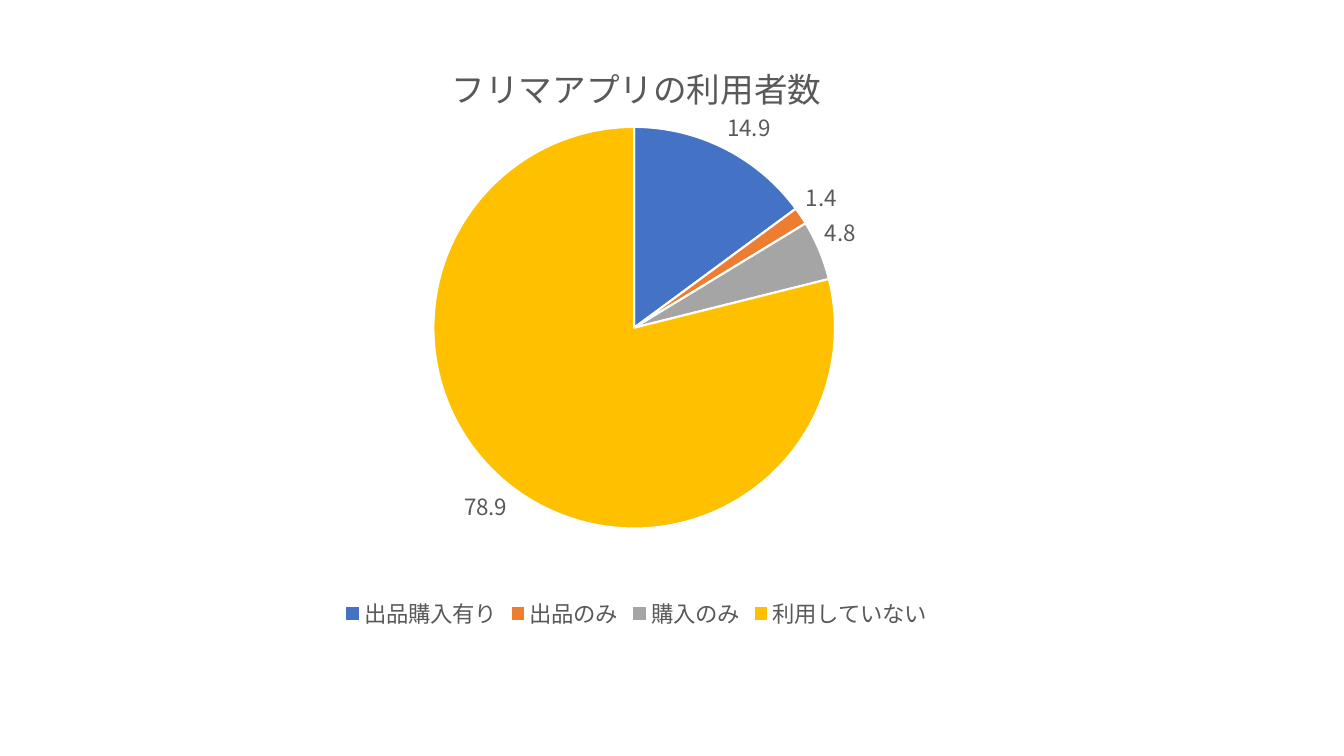
from pptx import Presentation
from pptx.chart.data import CategoryChartData as Data
from pptx.dml.color import RGBColor
from pptx.enum.chart import XL_CHART_TYPE as Kind, XL_LABEL_POSITION as Spot
from pptx.enum.chart import XL_LEGEND_POSITION as Side
from pptx.oxml import parse_xml
from pptx.oxml.ns import nsdecls, qn
from pptx.util import Cm, Pt


def color(code):
    return RGBColor.from_string(code)


class Deck:
    face = "Noto Sans CJK JP"
    ink = "595959"
    edge = "FFFFFF"

    def __init__(self, wide, high):
        self.prs = Presentation()
        self.prs.slide_width, self.prs.slide_height = Cm(wide), Cm(high)
        self.slide = None

    def page(self):
        self.slide = self.prs.slides.add_slide(self.prs.slide_layouts[6])

    def style(self, font, size, ink=None):
        font.name, font.size, font.bold = self.face, Pt(size), False
        font.color.rgb = color(ink or self.ink)

    def pie(self, box, title, parts, plot):
        data = Data(number_format="0.0")
        data.categories = [name for name, _, _ in parts]
        data.add_series(title, [value for _, value, _ in parts])
        frame = self.slide.shapes.add_chart(Kind.PIE, *map(Cm, box), data)
        chart = frame.chart
        self.style(chart.font, 10, "000000")
        self.head(chart, title)
        self.legend(chart)
        chart.plots[0].vary_by_categories = True
        series = chart.plots[0].series[0]
        for i, (_, _, fill) in enumerate(parts):
            form = series.points[i].format
            form.fill.solid()
            form.fill.fore_color.rgb = color(fill)
            form.line.color.rgb = color(self.edge)
            form.line.width = Pt(1.5)
        self.labels(series)
        self.place(chart, plot)
        self.asian(chart)

    def head(self, chart, text):
        chart.has_title = True
        frame = chart.chart_title.text_frame
        frame.text = text
        self.style(frame.paragraphs[0].runs[0].font, 24)

    def legend(self, chart):
        chart.has_legend = True
        chart.legend.position = Side.BOTTOM
        chart.legend.include_in_layout = False
        self.style(chart.legend.font, 16)

    def labels(self, series):
        tags = series.data_labels
        tags.show_value = True
        tags.show_percentage = False
        tags.position = Spot.OUTSIDE_END
        self.style(tags.font, 16)

    def place(self, chart, plot):
        area = chart.element.find(".//" + qn("c:plotArea"))
        for old in area.findall(qn("c:layout")):
            area.remove(old)
        modes = '<c:xMode val="edge"/><c:yMode val="edge"/>'
        sizes = "".join(f'<c:{k} val="{v}"/>' for k, v in zip("xywh", plot))
        area.insert(0, parse_xml(
            f'<c:layout {nsdecls("c")}><c:manualLayout>'
            f'<c:layoutTarget val="inner"/>{modes}{sizes}'
            '</c:manualLayout></c:layout>'))

    def asian(self, chart):
        for latin in list(chart.element.iter(qn("a:latin"))):
            latin.addnext(parse_xml(
                f'<a:ea {nsdecls("a")} typeface="{self.face}"/>'))

    def save(self):
        self.prs.save("out.pptx")


def main():
    deck = Deck(33.87, 19.05)
    deck.page()
    deck.pie(
        (1.55, 0.91, 28.98, 15.06),
        "フリマアプリの利用者数",
        [
            ("出品購入有り", 14.9, "4472C4"),
            ("出品のみ", 1.4, "ED7D31"),
            ("購入のみ", 4.8, "A5A5A5"),
            ("利用していない", 78.9, "FFC000"),
        ],
        (0.067, 0.152, 0.862, 0.672),
    )
    deck.save()


if __name__ == "__main__":
    main()
